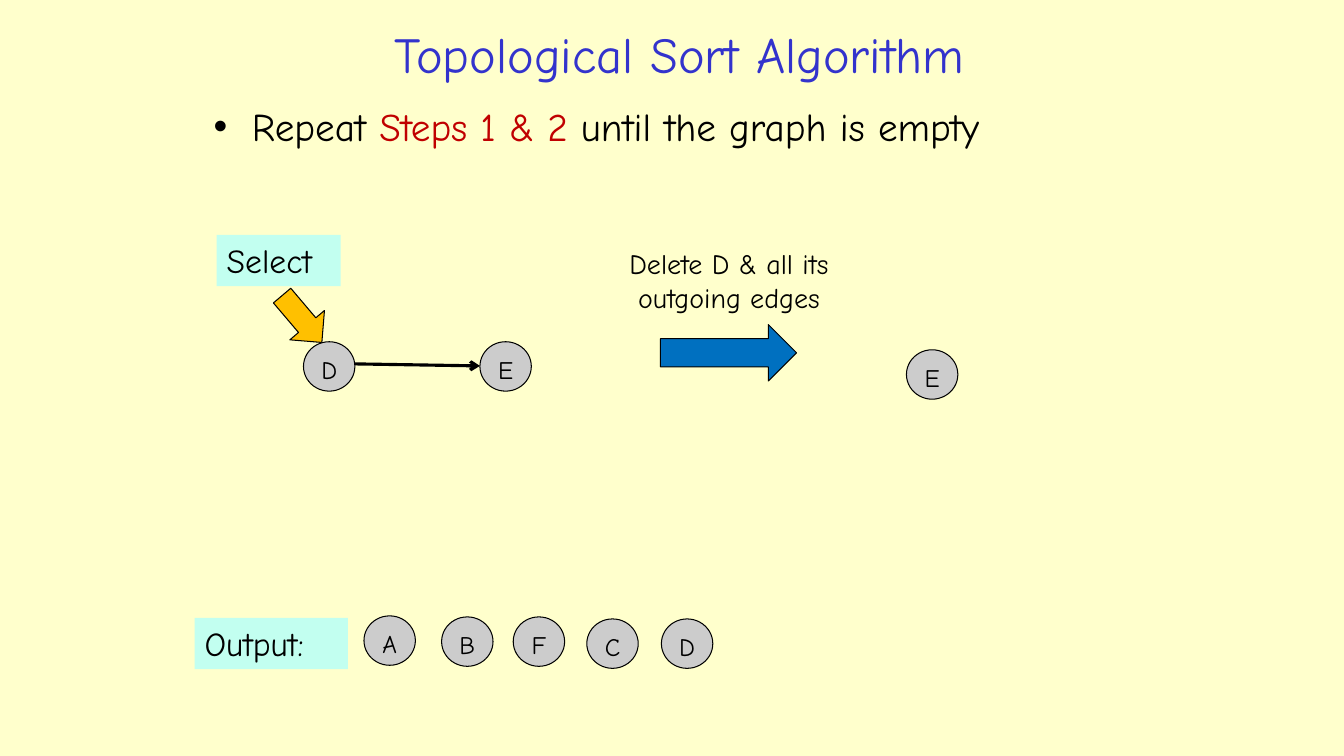
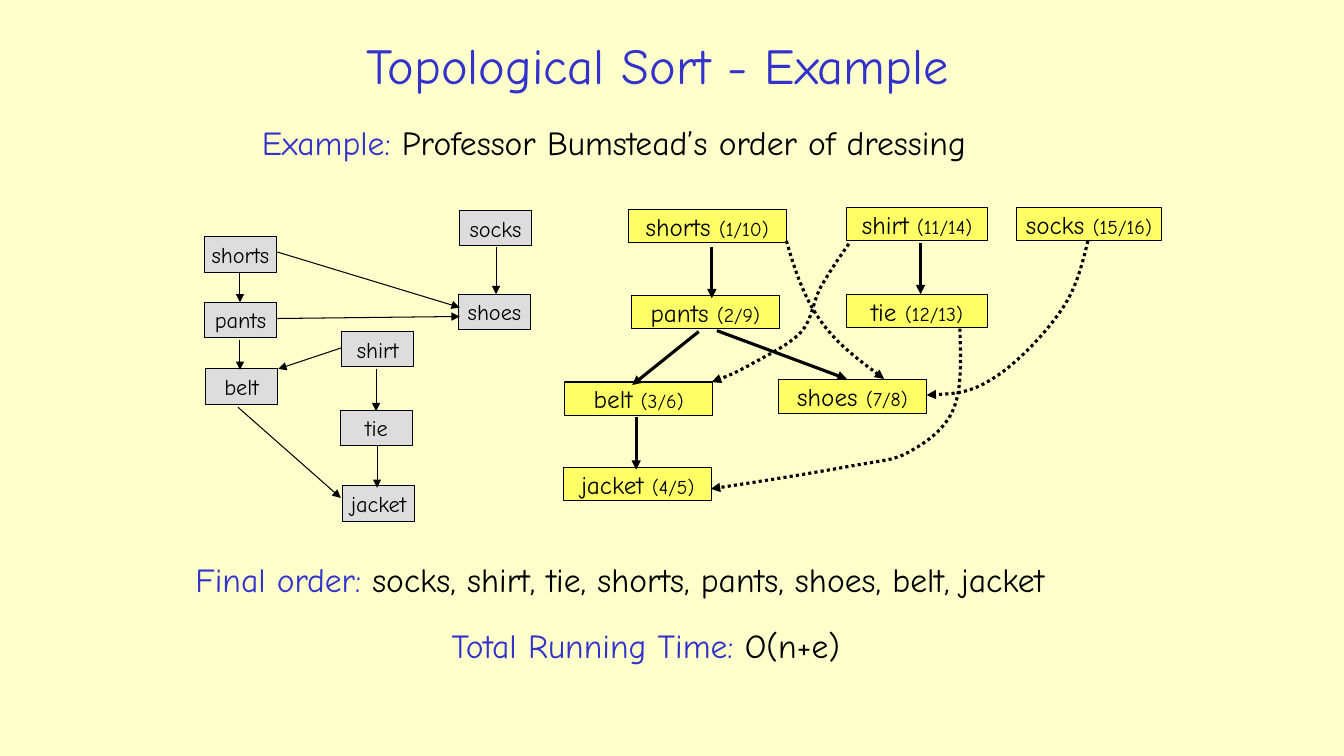
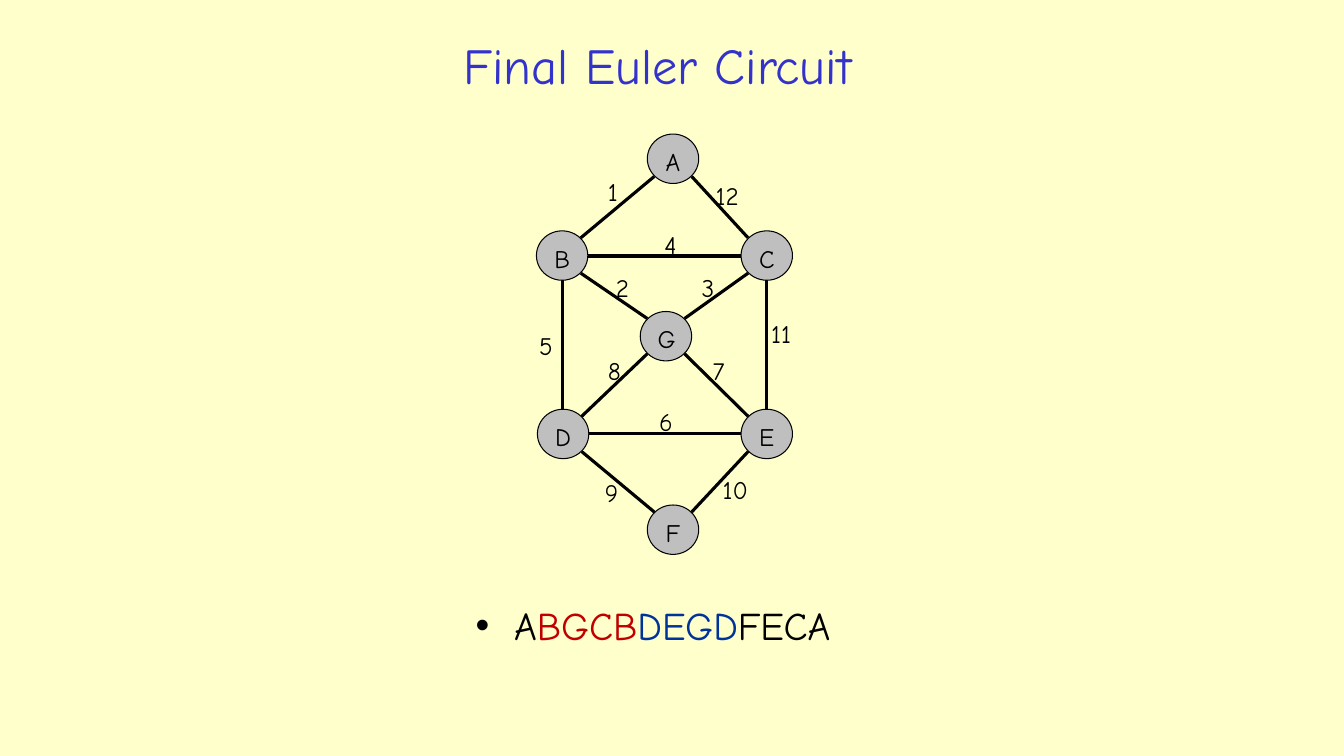
import pptx
import pptx.dml.color
import pptx.enum.dml
import pptx.enum.shapes
import pptx.enum.text
import pptx.oxml.ns
import pptx.util
from lxml import etree

PX = 9144  # EMU in one px: 100 px make an inch
FONT = "Comic Neue"
BLACK, BLUE, RED, NAVY = "000000", "3333CC", "C00000", "003399"
CREAM, MINT, YELLOW = "FFFFCC", "C2FFF0", "FFFF66"
SILVER, GREY, PALE_GREY = "CCCCCC", "BFBFBF", "DDDDDD"
ORANGE, ARROW_BLUE = "FFC000", "0070C0"
THIN, THICK = 0.75, 2.25
NODE_WIDTH, NODE_HEIGHT = 51, 49

SHAPE = pptx.enum.shapes.MSO_SHAPE
ALIGN = pptx.enum.text.PP_ALIGN
ANCHOR = pptx.enum.text.MSO_ANCHOR
qn = pptx.oxml.ns.qn


def px(*lengths):
    return [pptx.util.Emu(length * PX) for length in lengths]


def colour(hex_string):
    return pptx.dml.color.RGBColor.from_string(hex_string)


def set_attributes(target, values):
    for name, value in values.items():
        setattr(target, name, value)


class Deck:
    def __init__(self):
        self.presentation = pptx.Presentation()
        width, height = px(1333, 750)
        set_attributes(self.presentation, {"slide_width": width, "slide_height": height})
        background = self.presentation.slide_master.background.fill
        background.solid()
        background.fore_color.rgb = colour(CREAM)
        self.slide = None

    def add_slide(self, title, box=(204, 26, 896, 76)):
        self.slide = self.presentation.slides.add_slide(self.presentation.slide_layouts[5])
        shape = self.slide.shapes.title
        set_attributes(shape, dict(zip(("left", "top", "width", "height"), px(*box))))
        self.fill_text(shape, [(title, BLUE)], 36, ALIGN.CENTER, ANCHOR.MIDDLE)

    def fill_text(self, shape, runs, size, align=ALIGN.LEFT, anchor=ANCHOR.TOP, wrap=True):
        """Fill a shape with runs of (text, colour) or (text, colour, size)."""
        frame = shape.text_frame
        set_attributes(frame, {
            "word_wrap": wrap, "vertical_anchor": anchor,
            "auto_size": pptx.enum.text.MSO_AUTO_SIZE.NONE})
        paragraph = frame.paragraphs[0]
        paragraph.alignment = align
        for text, ink, *own_size in runs:
            run = paragraph.add_run()
            run.text = text
            points = own_size[0] if own_size else size
            set_attributes(run.font, {
                "name": FONT, "size": pptx.util.Pt(points), "bold": False})
            run.font.color.rgb = colour(ink)
        return paragraph

    def text(self, box, runs, size, align=ALIGN.LEFT, wrap=True):
        shape = self.slide.shapes.add_textbox(*px(*box))
        return self.fill_text(shape, runs, size, align, wrap=wrap)

    def bullet(self, box, runs):
        paragraph = self.text(box, runs, 28)
        paragraph.space_before = pptx.util.Pt(5.6)
        properties = paragraph._p.get_or_add_pPr()
        indent = 38 * PX
        properties.set("marL", str(indent))
        properties.set("indent", str(-indent))
        etree.SubElement(properties, qn("a:buFont")).set("typeface", "Arial")
        etree.SubElement(properties, qn("a:buChar")).set("char", "•")

    def shape(self, kind, box, fill, outline=True, rotation=0):
        shape = self.slide.shapes.add_shape(kind, *px(*box))
        shape.shadow.inherit = False
        shape.rotation = rotation
        shape.fill.solid()
        shape.fill.fore_color.rgb = colour(fill)
        if outline:
            self.stroke(shape, THIN)
        else:
            shape.line.fill.background()
        return shape

    def node(self, letter, left, top, fill):
        shape = self.shape(SHAPE.OVAL, (left, top, NODE_WIDTH, NODE_HEIGHT), fill)
        self.fill_text(shape, [(letter, BLACK)], 18, ALIGN.CENTER)

    def box(self, box, fill, runs, size):
        shape = self.shape(SHAPE.RECTANGLE, box, fill)
        self.fill_text(shape, runs, size, ALIGN.CENTER, ANCHOR.MIDDLE, wrap=False)

    def tag(self, box, text):
        shape = self.shape(SHAPE.RECTANGLE, box, MINT, outline=False)
        self.fill_text(shape, [(text, BLACK)], 24)

    def stroke(self, shape, weight, head=None):
        shape.line.color.rgb = colour(BLACK)
        shape.line.width = pptx.util.Pt(weight)
        if head:
            line = shape.line._get_or_add_ln()
            etree.SubElement(line, qn("a:tailEnd")).set("type", head)

    def line(self, ends, weight, head=None):
        straight = pptx.enum.shapes.MSO_CONNECTOR.STRAIGHT
        connector = self.slide.shapes.add_connector(straight, *px(*ends))
        self.stroke(connector, weight, head)
        etree.SubElement(connector._element.spPr, qn("a:effectLst"))

    def dotted_curve(self, points):
        """Draw a Bezier curve: a start, then two controls and an end per piece."""
        start, *others = [px(*point) for point in points]
        builder = self.slide.shapes.build_freeform(*start)
        builder.add_line_segments(others, close=False)
        shape = builder.convert_to_shape()
        segments = shape._element.findall(".//" + qn("a:lnTo"))
        for index in range(0, len(segments), 3):
            piece = segments[index:index + 3]
            curve = etree.Element(qn("a:cubicBezTo"))
            piece[0].addprevious(curve)
            for segment in piece:
                curve.append(segment[0])
                segment.getparent().remove(segment)
        shape.shadow.inherit = False
        shape.fill.background()
        shape.line.dash_style = pptx.enum.dml.MSO_LINE.ROUND_DOT
        self.stroke(shape, THICK, "triangle")


def build_algorithm(deck):
    deck.add_slide("Topological Sort Algorithm", (197, 15, 954, 76))
    deck.bullet((202, 97, 941, 80), [
        ("Repeat ", BLACK), ("Steps 1 & 2", RED), (" until the graph is empty", BLACK)])

    # Step: select a node, then delete it
    deck.tag((215, 233, 123, 51), "Select")
    deck.shape(SHAPE.RIGHT_ARROW, (269, 294, 61, 45), ORANGE, rotation=49.7)
    deck.shape(SHAPE.RIGHT_ARROW, (655, 322, 135, 56), ARROW_BLUE)
    deck.text((599, 240, 248, 77), [("Delete D & all its outgoing edges", BLACK)],
              20, ALIGN.CENTER)
    deck.line((351, 361, 476, 363), THICK, "arrow")

    # Graph before and after, and the output row
    deck.tag((193, 613, 152, 51), "Output:")
    for letter, left, top in [
            ("D", 301, 339), ("E", 476, 339), ("E", 899, 347),
            ("A", 361, 611), ("B", 438, 612), ("F", 509, 612),
            ("C", 582, 614), ("D", 656, 614)]:
        deck.node(letter, left, top, SILVER)


def build_example(deck):
    deck.add_slide("Topological Sort - Example")
    for box, label, text in [
            ((250, 116, 786, 50), "Example: ", "Professor Bumstead’s order of dressing"),
            ((184, 550, 984, 50), "Final order:",
             " socks, shirt, tie, shorts, pants, shoes, belt, jacket"),
            ((438, 615, 439, 50), "Total Running Time: ", "O(n+e)")]:
        deck.text(box, [(label, BLUE), (text, BLACK)], 24)

    # Order of dressing
    for garment, left, top in [
            ("shorts", 203, 235), ("pants", 203, 300), ("belt", 204, 366),
            ("shirt", 339, 329), ("tie", 338, 407), ("jacket", 340, 482),
            ("socks", 456, 209), ("shoes", 455, 292)]:
        deck.box((left, top, 71, 35), PALE_GREY, [(garment, BLACK)], 16)
    for ends in [
            (275, 250, 456, 305), (492, 245, 492, 292), (238, 271, 238, 300),
            (238, 337, 238, 367), (275, 316, 456, 314), (339, 345, 276, 366),
            (373, 366, 373, 408), (374, 442, 374, 484), (236, 404, 338, 494)]:
        deck.line(ends, THIN, "triangle")

    # Depth-first forest with start and finish times
    for garment, times, left, top, width in [
            ("shorts", "(1/10)", 623, 208, 157), ("pants", "(2/9)", 626, 293, 147),
            ("shirt", "(11/14)", 840, 206, 139), ("socks", "(15/16)", 1008, 206, 144),
            ("belt", "(3/6)", 560, 379, 147), ("shoes", "(7/8)", 772, 377, 147),
            ("jacket", "(4/5)", 559, 464, 147), ("tie", "(12/13)", 840, 292, 139)]:
        deck.box((left, top, width, 33), YELLOW,
                 [(garment + " ", BLACK), (times, BLACK, 14)], 18)
    for ends in [
            (706, 245, 706, 296), (693, 329, 627, 382), (711, 328, 840, 376),
            (631, 414, 631, 466), (913, 241, 913, 292)]:
        deck.line(ends, THICK, "triangle")

    # Cross edges
    for points in [
            [(780, 239), (788, 267), (797, 294), (813, 317),
             (829, 340), (853, 358), (877, 376)],
            [(842, 242), (832, 256), (822, 271), (814, 285),
             (806, 300), (806, 317), (794, 330),
             (782, 343), (756, 355), (742, 363),
             (727, 371), (717, 375), (706, 379)],
            [(952, 326), (953, 356), (954, 385), (946, 405),
             (938, 425), (920, 438), (904, 447),
             (887, 457), (879, 456), (846, 462),
             (813, 468), (759, 477), (705, 485)],
            [(1079, 239), (1073, 264), (1067, 288), (1051, 310),
             (1035, 333), (1006, 363), (984, 376),
             (962, 390), (941, 391), (919, 392)]]:
        deck.dotted_curve(points)


def node_edge(start, end):
    """Join two nodes at the nearest of the eight points round each rim."""
    steps = [0 if abs(b - a) < 5 else (1 if b > a else -1) for a, b in zip(start, end)]
    reach = 0.71 if all(steps) else 1
    offsets = [step * reach * size / 2
               for step, size in zip(steps, (NODE_WIDTH, NODE_HEIGHT))]
    centres = [(left + NODE_WIDTH / 2, top + NODE_HEIGHT / 2) for left, top in (start, end)]
    return [round(centre + sign * offset)
            for point, sign in zip(centres, (1, -1))
            for centre, offset in zip(point, offsets)]


def build_euler(deck):
    deck.add_slide("Final Euler Circuit")
    nodes = {"A": (642, 133), "B": (532, 229), "C": (735, 229), "D": (533, 406),
             "E": (735, 406), "G": (635, 309), "F": (642, 501)}

    # Edges run along the circuit, each numbered in turn
    circuit = "ABGCBDEGDFECA"
    for start, end in zip(circuit, circuit[1:]):
        deck.line(node_edge(nodes[start], nodes[end]), THICK)
    for letter, (left, top) in nodes.items():
        deck.node(letter, left, top, GREY)
    label_places = [
        (593, 170), (601, 265), (686, 265), (649, 223), (525, 323), (644, 398),
        (697, 348), (593, 348), (590, 469), (707, 466), (755, 311), (700, 174)]
    for number, (left, top) in enumerate(label_places, 1):
        width = 36 if number < 10 else 47
        deck.text((left, top, width, 40), [(str(number), BLACK)], 18, wrap=False)

    deck.bullet((462, 592, 576, 55), [
        ("A", BLACK), ("BGCB", RED), ("DEGD", NAVY), ("FECA", BLACK)])


def main():
    deck = Deck()
    for build in (build_algorithm, build_example, build_euler):
        build(deck)
    deck.presentation.save("out.pptx")


if __name__ == "__main__":
    main()
